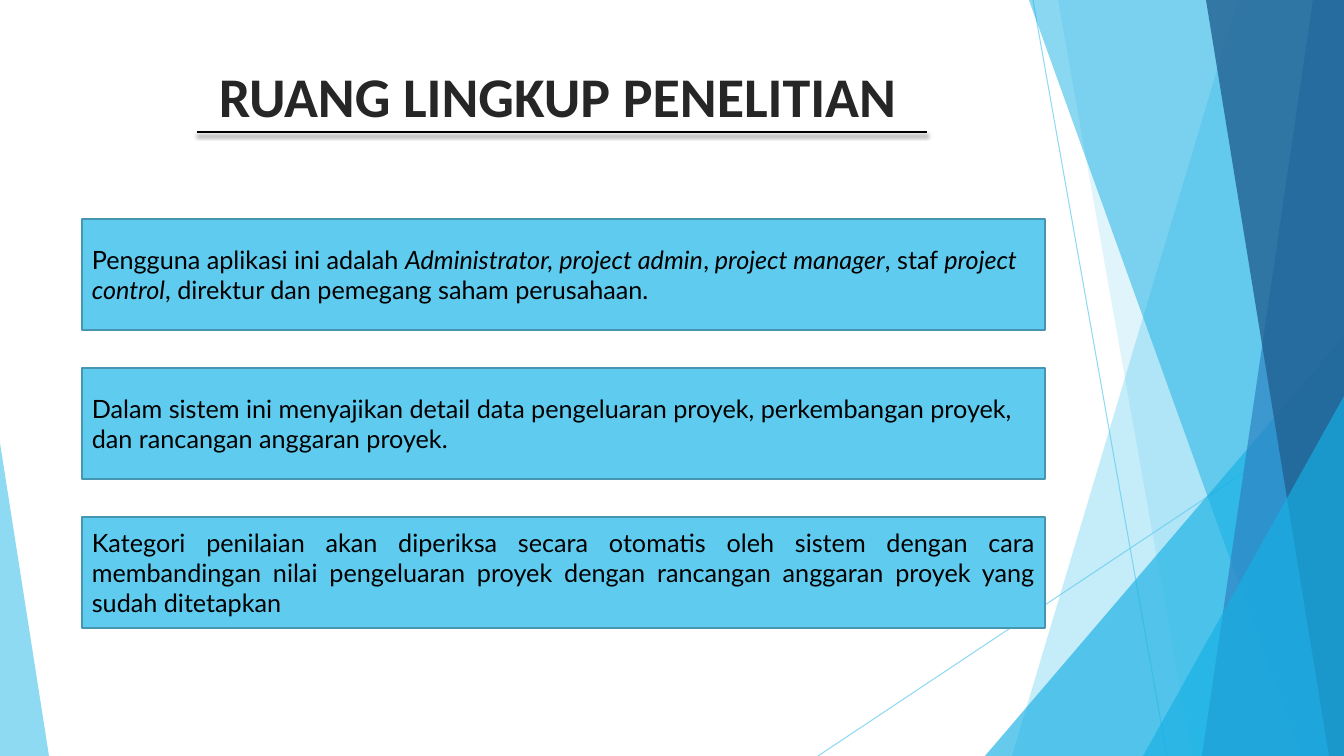
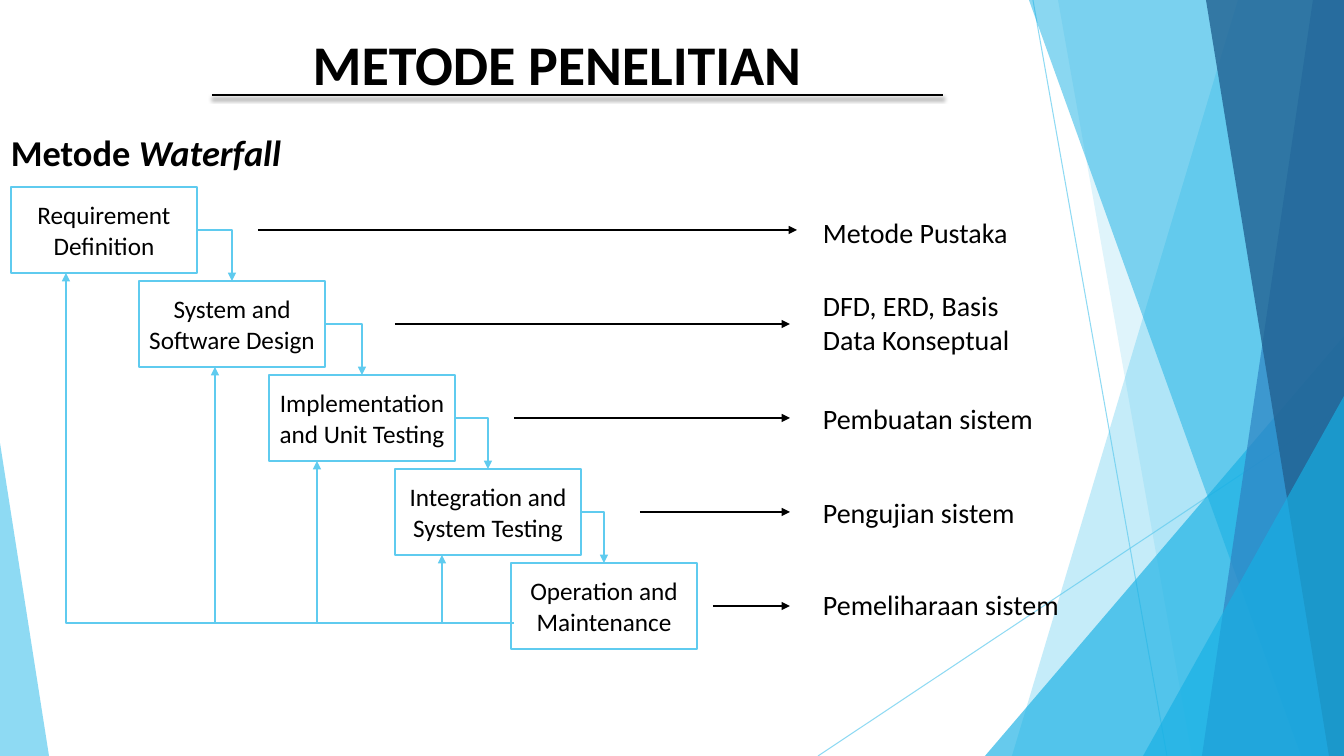
"""Build two slides on the scope and the method of a research project."""
from lxml import etree
from pptx import Presentation
from pptx import util as u
from pptx.dml.color import RGBColor
from pptx.enum import shapes, text
from pptx.oxml.ns import qn

PX = 12192000 / 1344
WIDTH, HEIGHT = 1344, 756
COLORS = {
    "black": "000000", "title": "262626", "white": "FFFFFF", "sky": "5FCBEF",
    "edge": "4696B1", "cyan": "17B0E4", "blue": "2E83C3", "navy": "226292",
}
RGB = {name: RGBColor.from_string(value) for name, value in COLORS.items()}
LEFT, CENTER, JUSTIFY = text.PP_ALIGN.LEFT, text.PP_ALIGN.CENTER, text.PP_ALIGN.JUSTIFY
STRAIGHT, ELBOW = shapes.MSO_CONNECTOR.STRAIGHT, shapes.MSO_CONNECTOR.ELBOW


def add_line(slide, points, color, width, kind=STRAIGHT, arrow=False):
    """Add a flat connector; an elbow turns only once."""
    line = slide.shapes.add_connector(kind, *(round(p * PX) for p in points))
    line.line.width = u.Pt(width)
    line.line.color.rgb = RGB[color]
    properties = line.element.spPr
    if kind == ELBOW:
        properties.find(qn("a:prstGeom")).set("prst", "bentConnector2")
    if arrow:
        etree.SubElement(properties.find(qn("a:ln")), qn("a:tailEnd"), type="triangle")
    etree.SubElement(properties, qn("a:effectLst"))
    return line


def write_text(shape, runs, size, align=LEFT, font="Calibri", color="black", bold=False):
    """Write one paragraph whose runs alternate between upright and italic."""
    shape.text_frame.word_wrap = True
    paragraph = shape.text_frame.paragraphs[0]
    paragraph.alignment = align
    paragraph.font.name = font
    paragraph.font.size = u.Pt(size)
    paragraph.font.bold = bold
    paragraph.font.color.rgb = RGB[color]
    for index, content in enumerate(runs):
        run = paragraph.add_run()
        run.text = content
        if index % 2:
            run.font.italic = True


presentation = Presentation()
presentation.slide_width = round(WIDTH * PX)
presentation.slide_height = round(HEIGHT * PX)
blank = presentation.slide_layouts[6]
scope = presentation.slides.add_slide(blank)
method = presentation.slides.add_slide(blank)

decoration = []
for points in [(1033, 0, 1167, HEIGHT), (WIDTH, 406, 818, HEIGHT)]:
    decoration.append((add_line(scope, points, "sky", 0.75), 70))

facets = [
    ("band", (1238, 1012), "sky", 36),
    ("band", (1058, 1192), "sky", 20),
    ("triangle", (985, 336, 359, 1), "cyan", 66),
    ("band", (1029, 1301), "cyan", 50),
    ("band", (1313, 1202), "blue", 70),
    ("band", (1206, 1329), "navy", 80),
    ("triangle", (1143, 396, 201, 1), "cyan", 66),
    ("triangle", (0, 443, 49, 0), "sky", 70),
]
for kind, geometry, color, opacity in facets:
    if kind == "band":
        top_x, bottom_x = geometry
        builder = scope.shapes.build_freeform(top_x, 0, scale=PX)
        builder.add_line_segments([(WIDTH, 0), (WIDTH, HEIGHT), (bottom_x, HEIGHT)], close=True)
        facet = builder.convert_to_shape()
    else:
        left, top, width, apex = geometry
        facet = scope.shapes.add_shape(
            shapes.MSO_SHAPE.ISOSCELES_TRIANGLE,
            *(round(v * PX) for v in (left, top, width, HEIGHT - top)))
        facet.adjustments[0] = apex
    facet.fill.solid()
    facet.fill.fore_color.rgb = RGB[color]
    facet.line.fill.background()
    facet.shadow.inherit = False
    decoration.append((facet, opacity))

for shape, opacity in decoration:
    for color in shape.element.spPr.iter(qn("a:srgbClr")):
        etree.SubElement(color, qn("a:alpha"), val=str(opacity * 1000))
    blank.element.cSld.spTree.append(shape.element)

titles = [
    (scope, "RUANG LINGKUP PENELITIAN", (194, 57, 727, 87), "title", (197, 132, 927)),
    (method, "METODE PENELITIAN", (300, 25, 514, 78), "black", (212, 95, 943)),
]
for slide, title, box, color, (start, y, end) in titles:
    shape = slide.shapes.add_textbox(*(round(v * PX) for v in box))
    write_text(shape, [title], 40, CENTER, color=color, bold=True)
    shape.text_frame.word_wrap = False
    underline = add_line(slide, (start, y, end, y), "black", 2)
    shadow = etree.SubElement(
        underline.element.spPr.find(qn("a:effectLst")), qn("a:outerShdw"),
        blurRad=str(u.Pt(3)), dist=str(u.Pt(2)), dir="5400000", rotWithShape="0")
    color = etree.SubElement(shadow, qn("a:srgbClr"), val=COLORS["black"])
    etree.SubElement(color, qn("a:alpha"), val="35000")

statements = [
    (LEFT, ["Pengguna aplikasi ini adalah ", "Administrator, project admin", ",",
            " project manager", ", staf ", "project control",
            ", direktur dan pemegang saham perusahaan."]),
    (LEFT, ["Dalam sistem ini menyajikan detail data pengeluaran proyek, "
            "perkembangan proyek, dan rancangan anggaran proyek."]),
    (JUSTIFY, ["Kategori penilaian akan diperiksa secara otomatis oleh sistem dengan cara "
               "membandingan nilai pengeluaran proyek dengan rancangan anggaran proyek "
               "yang sudah ditetapkan"]),
]
boxes = [
    (scope, (82, 219 + 149 * row, 963, 111), "sky", "edge", runs, align, "Lato")
    for row, (align, runs) in enumerate(statements)
]

STEP_TOP, STEP_PITCH, STEP_WIDTH, STEP_HEIGHT = 187, 94, 186, 86
steps = [
    (11, "Requirement Definition"),
    (139, "System and Software Design"),
    (269, "Implementation and Unit Testing"),
    (395, "Integration and System Testing"),
    (511, "Operation and Maintenance"),
]
boxes += [
    (method, (left, STEP_TOP + STEP_PITCH * row, STEP_WIDTH, STEP_HEIGHT),
     "white", "sky", [name], CENTER, "Calibri")
    for row, (left, name) in enumerate(steps)
]

step_shapes = []
for slide, box, fill, edge, runs, align, font in boxes:
    shape = slide.shapes.add_shape(shapes.MSO_SHAPE.RECTANGLE, *(round(v * PX) for v in box))
    shape.shadow.inherit = False
    shape.fill.solid()
    shape.fill.fore_color.rgb = RGB[fill]
    shape.line.color.rgb = RGB[edge]
    shape.line.width = u.Pt(1.5)
    shape.text_frame.vertical_anchor = text.MSO_ANCHOR.MIDDLE
    write_text(shape, runs, 18, align, font)
    if slide is method:
        step_shapes.append(shape)

for upper, lower in zip(step_shapes, step_shapes[1:]):
    connector = add_line(method, (0, 0, 0, 0), "sky", 1, ELBOW, arrow=True)
    connector.begin_connect(upper, 3)
    connector.end_connect(lower, 0)

RETURN_Y = 623
first_bottom = STEP_TOP + STEP_HEIGHT
add_line(method, (514, RETURN_Y, 66, first_bottom), "sky", 1, ELBOW, arrow=True)
for row, x in enumerate([215, 317, 442], start=1):
    add_line(method, (x, RETURN_Y, x, first_bottom + STEP_PITCH * row), "sky", 1, arrow=True)

subtitle = method.shapes.add_textbox(*(round(v * PX) for v in (-29, 125, 350, 54)))
write_text(subtitle, ["Metode ", "Waterfall"], 26, CENTER, bold=True)

outcomes = [
    (258, 797, "Metode Pustaka", (211, 237, 44)),
    (395, 790, "DFD, ERD, Basis Data Konseptual", (284, 237, 78)),
    (514, 790, "Pembuatan sistem", (397, 237, 44)),
    (640, 790, "Pengujian sistem", (491, 237, 44)),
    (713, 790, "Pemeliharaan sistem", (583, 291, 44)),
]
for row, (start, end, outcome, (top, width, height)) in enumerate(outcomes):
    y = STEP_TOP + STEP_HEIGHT // 2 + STEP_PITCH * row
    add_line(method, (start, y, end, y), "black", 1, arrow=True)
    label = method.shapes.add_textbox(*(round(v * PX) for v in (813, top, width, height)))
    write_text(label, [outcome], 20)

presentation.save("out.pptx")
